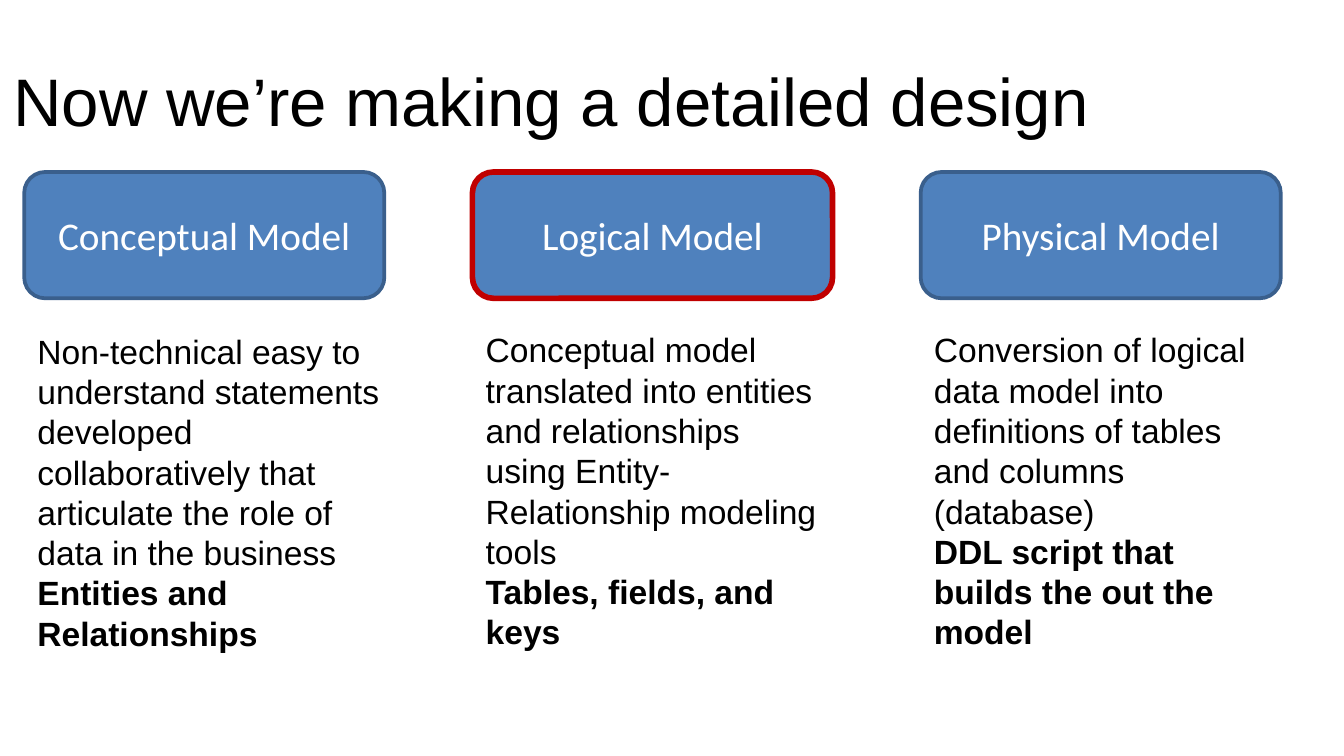
from pptx import Presentation
from pptx.dml.color import RGBColor
from pptx.enum.shapes import MSO_SHAPE
from pptx.enum.text import MSO_ANCHOR, PP_ALIGN
from pptx.util import Emu, Pt

PX = 4572
BLACK = RGBColor(0x00, 0x00, 0x00)
WHITE = RGBColor(0xFF, 0xFF, 0xFF)
BLUE = RGBColor(0x4F, 0x81, 0xBD)
DARK_BLUE = RGBColor(0x3A, 0x5F, 0x8C)
RED = RGBColor(0xC0, 0x00, 0x00)

LEFT, PITCH, WIDTH = 36, 667, 536
MODELS = [
    ("Conceptual Model", DARK_BLUE, 2, 482, 556,
     "Non-technical easy to understand statements developed collaboratively "
     "that articulate the role of data in the business",
     "Entities and Relationships"),
    ("Logical Model", RED, 3, 480, WIDTH,
     "Conceptual model translated into entities and relationships using "
     "Entity-Relationship modeling tools",
     "Tables, fields, and keys"),
    ("Physical Model", DARK_BLUE, 2, 480, WIDTH,
     "Conversion of logical data model into definitions of tables and columns (database)",
     "DDL script that builds the out the model"),
]


def px(*lengths):
    return [Emu(length * PX) for length in lengths]


def write(paragraph, text, size=18, font="Arial", color=BLACK, bold=False,
          align=PP_ALIGN.LEFT, spacing=None):
    paragraph.alignment = align
    paragraph.line_spacing = spacing
    run = paragraph.add_run()
    run.text = text
    run.font.size = Pt(size)
    run.font.name = font
    run.font.bold = bold
    run.font.color.rgb = color


class ModelSlide:
    def __init__(self, presentation):
        self.slide = presentation.slides.add_slide(presentation.slide_layouts[5])
        self.spacing = Pt(21.6)

    def title(self, text, left, top, width, height):
        shape = self.slide.shapes.title
        shape.left, shape.top, shape.width, shape.height = px(left, top, width, height)
        shape.text_frame.vertical_anchor = MSO_ANCHOR.MIDDLE
        write(shape.text_frame.paragraphs[0], text, size=36)

    def box(self, text, left, top, width, height, line, weight):
        shape = self.slide.shapes.add_shape(
            MSO_SHAPE.ROUNDED_RECTANGLE, *px(left, top, width, height))
        shape.shadow.inherit = False
        shape.fill.solid()
        shape.fill.fore_color.rgb = BLUE
        shape.line.color.rgb = line
        shape.line.width = Pt(weight)
        shape.text_frame.word_wrap = True
        shape.text_frame.vertical_anchor = MSO_ANCHOR.MIDDLE
        write(shape.text_frame.paragraphs[0], text, size=21, font="Calibri",
              color=WHITE, align=PP_ALIGN.CENTER)

    def description(self, text, result, left, top, width, height):
        frame = self.slide.shapes.add_textbox(*px(left, top, width, height)).text_frame
        frame.word_wrap = True
        write(frame.paragraphs[0], text, spacing=self.spacing)
        write(frame.add_paragraph(), result, bold=True, spacing=self.spacing)


def main():
    presentation = Presentation()
    presentation.slide_width, presentation.slide_height = px(2000, 1125)
    page = ModelSlide(presentation)
    page.title("Now we’re making a detailed design", 0, 78, 1866, 142)
    for index, (name, line, weight, top, width, text, result) in enumerate(MODELS):
        left = LEFT + index * PITCH
        page.box(name, left, 256, WIDTH, 188, line, weight)
        page.description(text, result, left, top, width, 504)
    presentation.save("out.pptx")


if __name__ == "__main__":
    main()
